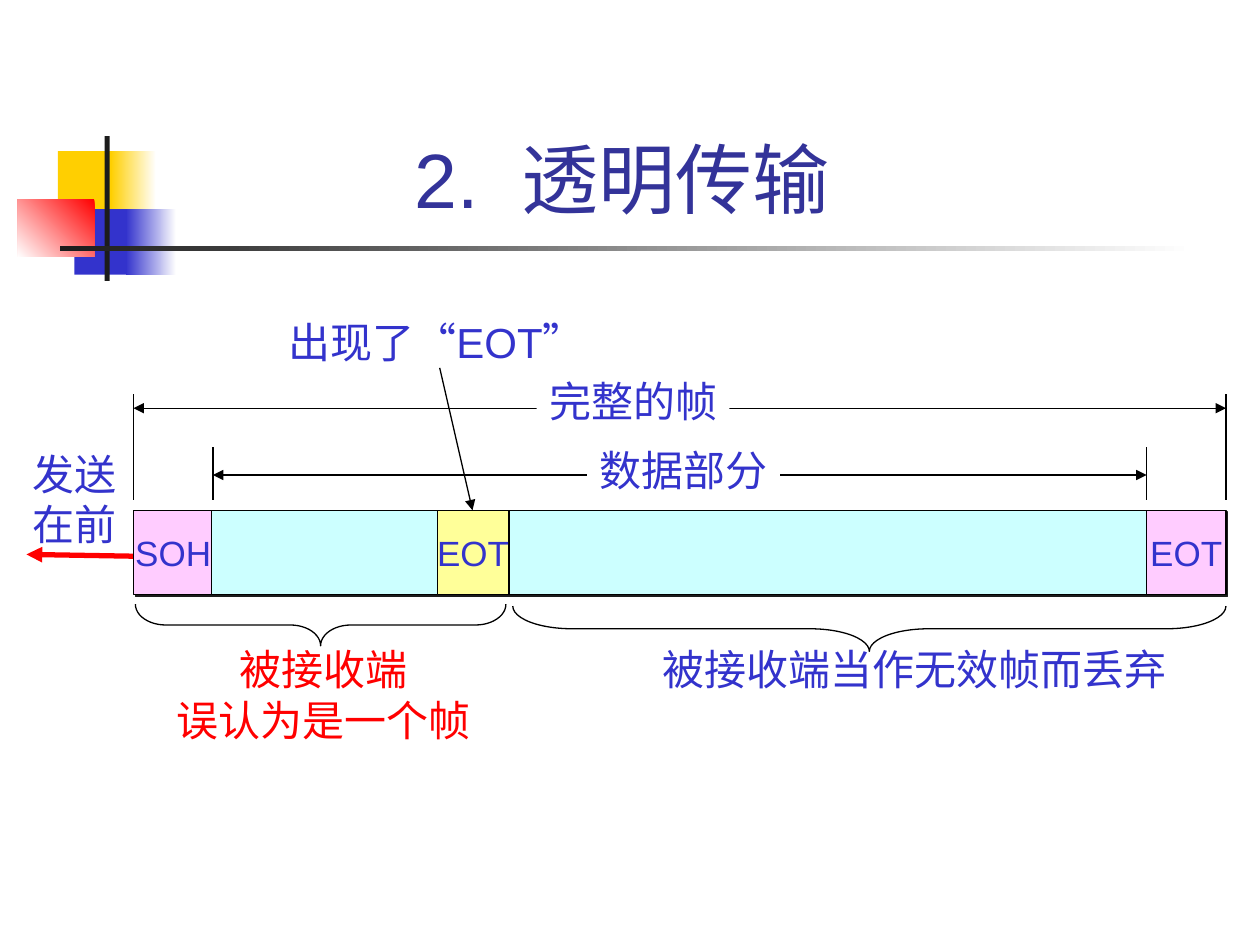
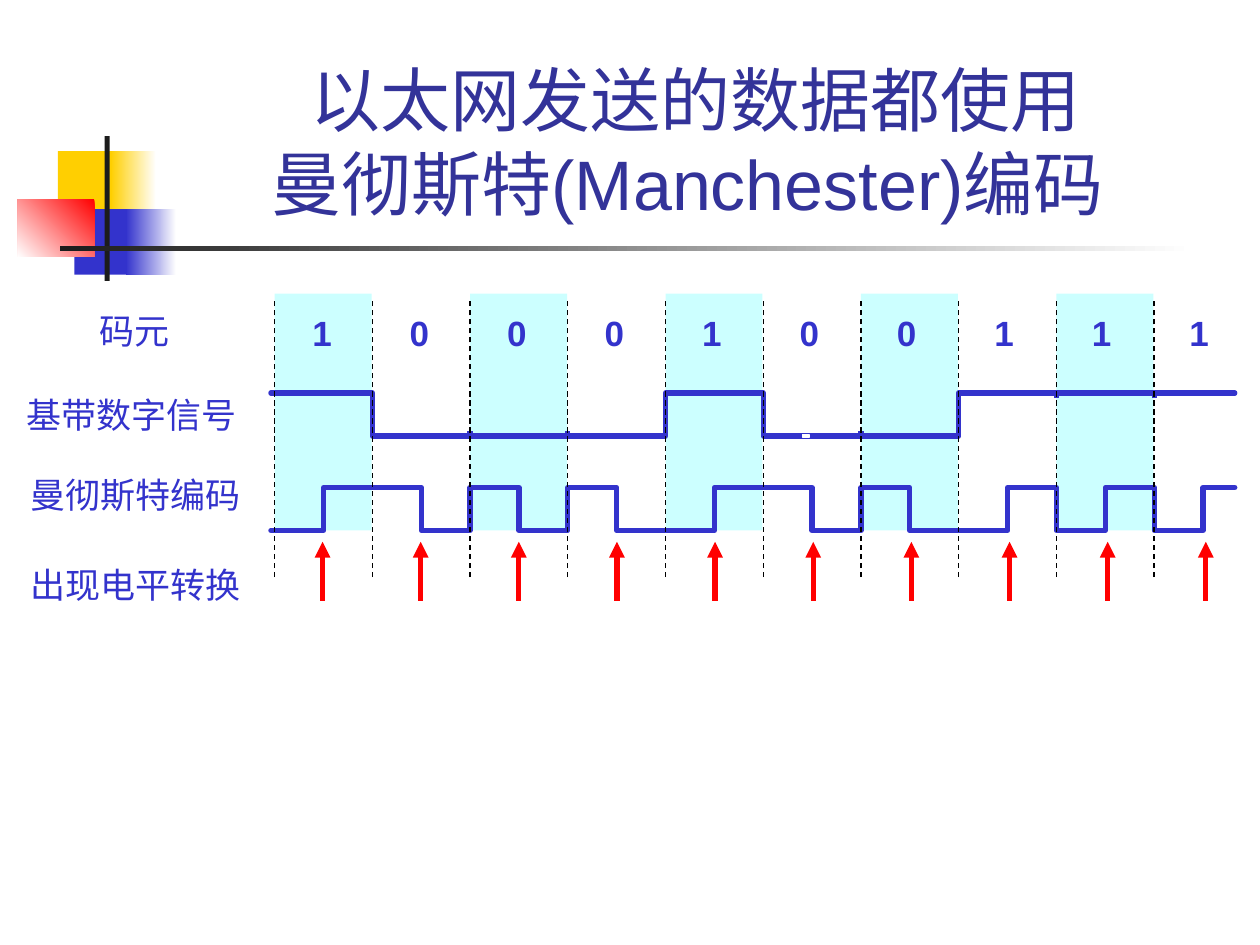
from dataclasses import dataclass
from typing import NamedTuple, Optional

from lxml.etree import SubElement
from pptx import Presentation
from pptx.dml.color import RGBColor
from pptx.enum.dml import MSO_LINE_DASH_STYLE as Dash
from pptx.enum.shapes import MSO_CONNECTOR as Connector, MSO_SHAPE as Shape
from pptx.enum.text import MSO_ANCHOR as Anchor, MSO_AUTO_SIZE as AutoSize, PP_ALIGN as Align
from pptx.oxml.ns import qn
from pptx.util import Inches, Pt


@dataclass(frozen=True)
class Theme:
    font: str = "Arial"
    title: str = "333399"
    blue: str = "3333CC"
    red: str = "FF0000"
    gold: str = "FFCF01"
    dark: str = "1C1C1C"
    black: str = "000000"
    white: str = "FFFFFF"
    pink: str = "FFCCFF"
    cyan: str = "CCFFFF"
    yellow: str = "FFFF99"
    title_size: int = 44
    long_title_size: int = 40
    label_size: int = 24
    small_size: int = 20
    thin: float = 0.75
    thick: float = 3


THEME = Theme()


class Box(NamedTuple):
    left: float
    top: float
    width: float
    height: float


class Block(NamedTuple):
    box: Box
    color: str
    fade_to: Optional[str] = None
    angle: int = 180


class Label(NamedTuple):
    text: str
    box: Box
    color: str = THEME.blue
    size: int = THEME.label_size
    align: Align = Align.LEFT
    bold: bool = False
    fill: Optional[str] = None


class Field(NamedTuple):
    text: str
    left: float
    width: float
    color: str
    shadow: bool = True


class Line(NamedTuple):
    x1: float
    y1: float
    x2: float
    y2: float
    color: str = THEME.black
    weight: float = THEME.thin
    head: bool = False
    tail: bool = False
    dashed: bool = False


# Squares and rules beside every title
ORNAMENT = (
    Block(Box(0.46, 1.2, 0.48, 0.52), THEME.gold),
    Block(Box(0.88, 1.2, 0.36, 0.52), THEME.white, THEME.gold),
    Block(Box(0.59, 1.66, 0.46, 0.52), THEME.blue),
    Block(Box(1, 1.66, 0.4, 0.52), THEME.white, THEME.blue),
    Block(Box(0.14, 1.58, 0.61, 0.46), THEME.red, THEME.white, 225),
    Block(Box(0.83, 1.08, 0.04, 1.15), THEME.dark),
    Block(Box(0.48, 1.95, 9, 0.04), THEME.white, THEME.dark),
)


def rgb(color: str) -> RGBColor:
    return RGBColor.from_string(color)


def inches(box: Box) -> list:
    return [Inches(value) for value in box]


def spread(first: float, last: float, count: int) -> list[float]:
    step = (last - first) / (count - 1)
    return [first + index * step for index in range(count)]


def write(shape, label: Label, anchor=Anchor.TOP, wrap: bool = False) -> None:
    frame = shape.text_frame
    frame.word_wrap = wrap
    frame.vertical_anchor = anchor
    frame.text = label.text
    for para in frame.paragraphs:
        para.alignment = label.align
        para.font.name = THEME.font
        para.font.size = Pt(label.size)
        para.font.bold = label.bold
        para.font.color.rgb = rgb(label.color)


def add_label(page, label: Label, anchor=Anchor.TOP, wrap: bool = False) -> None:
    shape = page.shapes.add_textbox(*inches(label.box))
    if label.fill:
        shape.fill.solid()
        shape.fill.fore_color.rgb = rgb(label.fill)
    write(shape, label, anchor, wrap)
    if not wrap:
        shape.text_frame.auto_size = AutoSize.SHAPE_TO_FIT_TEXT


def add_block(page, block: Block, outline: Optional[str] = None):
    shape = page.shapes.add_shape(Shape.RECTANGLE, *inches(block.box))
    shape.shadow.inherit = False
    if block.fade_to:
        shape.fill.gradient()
        shape.fill.gradient_angle = block.angle
        for stop, color in zip(shape.fill.gradient_stops, (block.color, block.fade_to)):
            stop.color.rgb = rgb(color)
    else:
        shape.fill.solid()
        shape.fill.fore_color.rgb = rgb(block.color)
    if outline:
        set_line(shape, outline, THEME.thin)
    else:
        shape.line.fill.background()
    return shape


def set_line(shape, color: str, weight: float) -> None:
    shape.line.color.rgb = rgb(color)
    shape.line.width = Pt(weight)


def add_line(page, line: Line) -> None:
    ends = [Inches(value) for value in line[:4]]
    connector = page.shapes.add_connector(Connector.STRAIGHT, *ends)
    set_line(connector, line.color, line.weight)
    if line.dashed:
        connector.line.dash_style = Dash.DASH
    properties = connector._element.spPr
    outline = properties.find(qn("a:ln"))
    for tag, wanted in (("a:headEnd", line.head), ("a:tailEnd", line.tail)):
        if wanted:
            SubElement(outline, qn(tag), type="triangle")
    SubElement(properties, qn("a:effectLst"))


def add_field(page, field: Field) -> None:
    box = Box(field.left, 4.05, field.width, 0.67)
    shape = add_block(page, Block(box, field.color), THEME.black)
    if field.shadow:
        effects = shape._element.spPr.find(qn("a:effectLst"))
        shadow = SubElement(effects, qn("a:outerShdw"), dist=str(Pt(1.4)),
                            dir="2700000", algn="ctr", rotWithShape="0")
        SubElement(shadow, qn("a:srgbClr"), val=THEME.dark)
    if field.text:
        write(shape, Label(field.text, box, size=THEME.small_size,
                           align=Align.CENTER), Anchor.MIDDLE)


def add_brace(page, box: Box, curve: float) -> None:
    brace = page.shapes.add_shape(Shape.LEFT_BRACE, *inches(box))
    brace.rotation = 270
    brace.adjustments[0] = curve
    brace.shadow.inherit = False
    brace.fill.background()
    set_line(brace, THEME.black, THEME.thin)


def add_wave(page, levels: str, edges: list[float], high: float, low: float) -> None:
    """Draw one level ("1" high, "0" low) between each pair of edges."""
    points = []
    for level, start, end in zip(levels, edges, edges[1:]):
        y = high if level == "1" else low
        points += [(Inches(start), Inches(y)), (Inches(end), Inches(y))]
    builder = page.shapes.build_freeform(*points[0])
    builder.add_line_segments(points[1:], close=False)
    wave = builder.convert_to_shape()
    wave.shadow.inherit = False
    wave.fill.background()
    set_line(wave, THEME.blue, THEME.thick)
    wave._element.spPr.find(qn("a:ln")).set("cap", "rnd")


def add_page(deck, title: str, width: float, size: int):
    page = deck.slides.add_slide(deck.slide_layouts[6])
    for block in ORNAMENT:
        add_block(page, block)
    add_label(page, Label(title, Box(1.26, 0.23, width, 1.6), THEME.title, size,
                          Align.CENTER), Anchor.BOTTOM, wrap=True)
    return page


def add_transparent_page(deck) -> None:
    page = add_page(deck, "2.  透明传输", 7.36, THEME.title_size)
    frame_left, data_left, data_right, frame_right = 1.06, 1.69, 9.1, 9.73

    # Frame fields
    add_line(page, Line(1.38, 4.42, 0.21, 4.4, THEME.red, THEME.thick, tail=True))
    for field in (
        Field("SOH", frame_left, 0.63, THEME.pink),
        Field("", 1.68, 7.6, THEME.cyan),
        Field("EOT", 3.47, 0.57, THEME.yellow, shadow=False),
        Field("EOT", data_right, 0.63, THEME.pink),
    ):
        add_field(page, field)

    # Pointer, extents and their end marks
    add_line(page, Line(3.49, 2.92, 3.75, 4.05, tail=True))
    for left, right, y, mark_top in (
        (frame_left, frame_right, 3.24, 3.13),
        (data_left, data_right, 3.77, 3.55),
    ):
        add_line(page, Line(left, y, right, y, head=True, tail=True))
        for x in (left, right):
            add_line(page, Line(x, mark_top, x, 3.97))

    add_brace(page, Box(6.72, 2.16, 0.36, 5.66), 1.31)
    add_brace(page, Box(2.38, 3.49, 0.33, 2.94), 0.73)

    for label in (
        Label("出现了“EOT”", Box(2.11, 2.46, 2.71, 0.5), align=Align.CENTER),
        Label("完整的帧", Box(4.26, 2.93, 1.53, 0.5), align=Align.CENTER, fill=THEME.white),
        Label("数据部分", Box(4.66, 3.48, 1.53, 0.5), align=Align.CENTER, fill=THEME.white),
        Label("发送\n在前", Box(0.16, 3.51, 0.9, 0.9)),
        Label("被接收端\n误认为是一个帧", Box(1.3, 5.06, 2.53, 0.9), THEME.red,
              align=Align.CENTER),
        Label("被接收端当作无效帧而丢弃", Box(5.16, 5.06, 4.2, 0.5)),
    ):
        add_label(page, label)


def add_manchester_page(deck) -> None:
    page = add_page(deck, "以太网发送的数据都使用\v曼彻斯特(Manchester)编码 ", 8.52,
                    THEME.long_title_size)
    bits = "1000100111"
    count = len(bits)
    edges = spread(2.18, 9.16, count)
    wave_start, wave_end = 2.15, 9.8
    high, low = 3.12, 3.46

    # Row names
    for text, left, top, width in (
        ("码元", 0.69, 2.41, 0.76),
        ("基带数字信号", 0.11, 3.07, 1.87),
        ("曼彻斯特编码", 0.14, 3.71, 1.87),
        ("出现电平转换", 0.14, 4.42, 1.87),
    ):
        add_label(page, Label(text, Box(left, top, width, 0.43), size=THEME.small_size))

    # Shaded symbols and their bits
    for left in edges[::2]:
        add_block(page, Block(Box(left, 2.33, 0.77, 1.88), THEME.cyan))
    for bit, left in zip(bits, spread(2.38, 9.34, count)):
        add_label(page, Label(bit, Box(left, 2.42, 0.35, 0.43),
                              size=THEME.small_size, bold=True))

    # Baseband signal with ticks where the level holds
    add_wave(page, bits, [wave_start, *edges[1:], wave_end], high, low)
    for index in range(2, count):
        if bits[index] == bits[index - 1]:
            top = high if bits[index] == "1" else low - 0.04
            add_line(page, Line(edges[index], top + 0.04, edges[index], top,
                                THEME.blue, THEME.thick))

    # Manchester code: each bit becomes two half-symbol levels
    halves = "".join("01" if bit == "1" else "10" for bit in bits)
    half_edges = spread(edges[0], edges[-1], 2 * count - 1)
    middle = half_edges[-1] + half_edges[1] - half_edges[0]
    add_wave(page, halves, [wave_start, *half_edges[1:], middle, wave_end], 3.87, 4.21)
    add_block(page, Block(Box(6.37, 3.45, 0.05, 0.02), THEME.white), THEME.white)

    # Symbol borders and level changes
    for x in edges:
        add_line(page, Line(x, 4.58, x, 2.38, dashed=True))
    for x in spread(2.56, 9.57, count):
        add_line(page, Line(x, 4.77, x, 4.3, THEME.red, THEME.thick, tail=True))


def main() -> None:
    deck = Presentation()
    deck.slide_width, deck.slide_height = Inches(10), Inches(7.5)
    add_transparent_page(deck)
    add_manchester_page(deck)
    deck.save("out.pptx")


if __name__ == "__main__":
    main()
